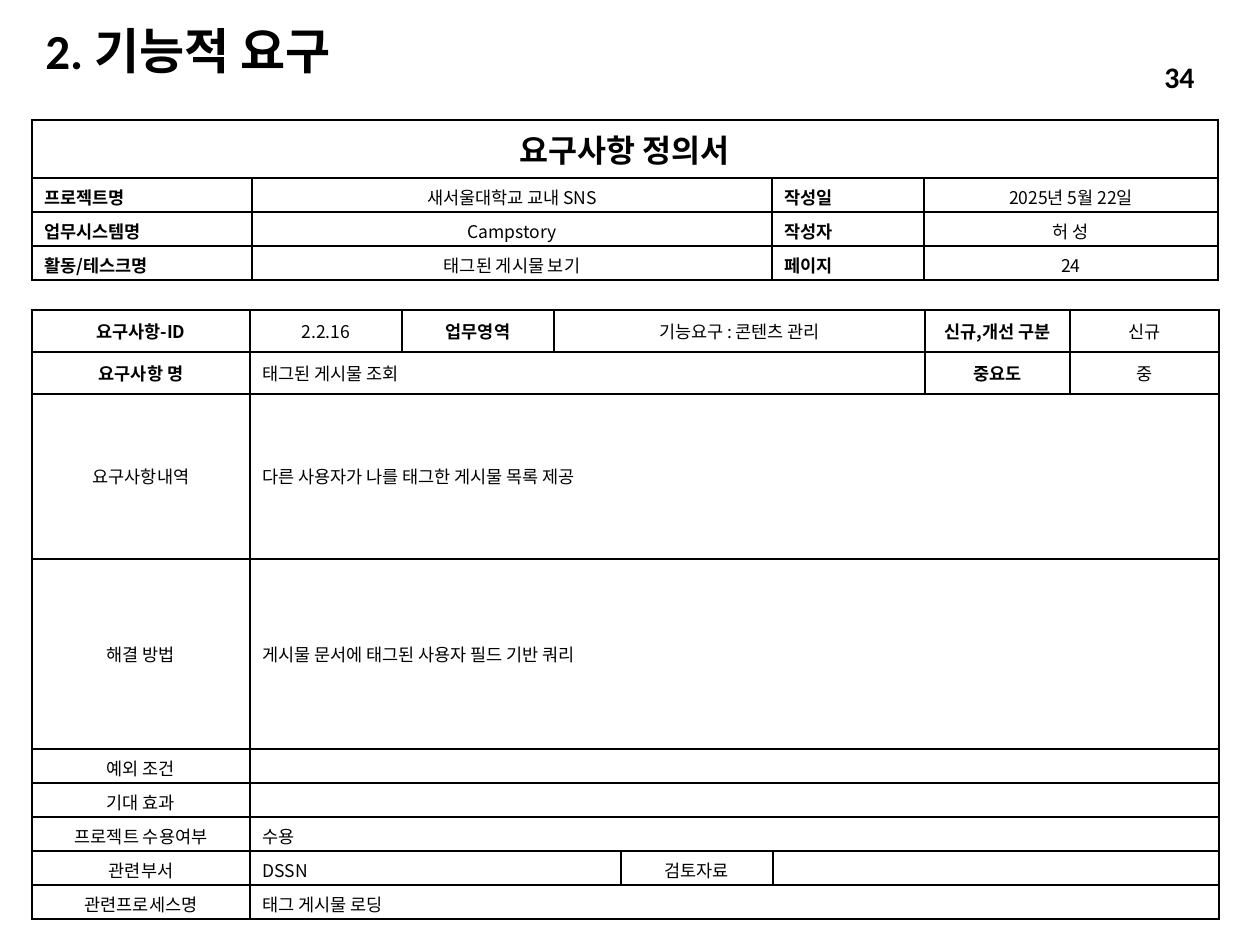
from dataclasses import dataclass

from lxml import etree
from pptx import Presentation
from pptx.dml.color import RGBColor
from pptx.enum.text import MSO_ANCHOR, PP_ALIGN
from pptx.oxml.ns import qn

LEFT, CENTER = PP_ALIGN.LEFT, PP_ALIGN.CENTER
RIGHT, JUSTIFY = PP_ALIGN.RIGHT, PP_ALIGN.JUSTIFY
TOP, MIDDLE = MSO_ANCHOR.TOP, MSO_ANCHOR.MIDDLE
EMU_PER_PX = 914400 / 126
EMU_PER_POINT = 12700


@dataclass(frozen=True)
class Theme:
    ink: str = "000000"
    latin: str = "Calibri"
    korean: str = "Noto Sans CJK KR"
    title_size: int = 28
    form_title_size: int = 18
    page_size: int = 17
    cell_size: int = 10
    thin: float = 1
    thick: float = 1.5


@dataclass(frozen=True)
class Entry:
    text: str = ""
    span: int = 1
    bold: bool = False
    align: PP_ALIGN = CENTER
    size: int = Theme.cell_size
    font: str = Theme.korean


THEME = Theme()


def px(length):
    return round(length * EMU_PER_PX)


def style_paragraph(paragraph, size, bold, align, name):
    paragraph.alignment = align
    font = paragraph.font
    font.size = size * EMU_PER_POINT
    font.bold = bold
    font.color.rgb = RGBColor.from_string(THEME.ink)
    font.name = name
    defaults = paragraph._p.pPr.find(qn("a:defRPr"))
    etree.SubElement(defaults, qn("a:ea"), typeface=THEME.korean)


def add_text(slide, box, text, size, align):
    shape = slide.shapes.add_textbox(*map(px, box))
    frame = shape.text_frame
    frame.word_wrap = True
    frame.vertical_anchor = MIDDLE
    paragraph = frame.paragraphs[0]
    paragraph.text = text
    style_paragraph(paragraph, size, True, align, THEME.latin)
    return paragraph


def draw_borders(cell, widths):
    properties = cell._tc.get_or_add_tcPr()
    for side in "LRTB":
        if side in widths:
            line = etree.SubElement(properties, qn(f"a:ln{side}"),
                                    w=str(round(widths[side] * EMU_PER_POINT)))
            fill = etree.SubElement(line, qn("a:solidFill"))
            etree.SubElement(fill, qn("a:srgbClr"), val=THEME.ink)


def fill_entry(table, row, column, entry, anchor, heavy_rules):
    last = column + entry.span - 1
    edge = len(table.columns)

    def rule(is_thick):
        return THEME.thick if is_thick else THEME.thin

    for index in range(column, last + 1):
        widths = {"T": rule(row in heavy_rules), "B": rule(row + 1 in heavy_rules)}
        if index == column:
            widths["L"] = rule(column == 0)
        if index in (column, last):
            widths["R"] = rule(last + 1 == edge)
        cell = table.cell(row, index)
        draw_borders(cell, widths)
        cell.fill.background()
        style_paragraph(cell.text_frame.paragraphs[0], entry.size, entry.bold,
                        entry.align, entry.font)

    cell = table.cell(row, column)
    cell.vertical_anchor = anchor
    if entry.text:
        cell.text_frame.paragraphs[0].add_run().text = entry.text
    if entry.span > 1:
        cell.merge(table.cell(row, last))


def add_form(slide, left, top, columns, heights, rows, anchors, heavy_rules):
    frame = slide.shapes.add_table(len(heights), len(columns), px(left), px(top),
                                   px(sum(columns)), px(sum(heights)))
    table = frame.table
    table.first_row = False
    table.horz_banding = False
    for column, width in zip(table.columns, columns):
        column.width = px(width)
    for row, height in zip(table.rows, heights):
        row.height = px(height)
    for row, (entries, anchor) in enumerate(zip(rows, anchors)):
        column = 0
        for entry in entries:
            fill_entry(table, row, column, entry, anchor, heavy_rules)
            column += entry.span


def add_requirement_form(slide):
    rows = [
        [Entry("요구사항-ID", bold=True), Entry("2.2.16"), Entry("업무영역", bold=True),
         Entry("기능요구 : 콘텐츠 관리", 3), Entry("신규,개선 구분", bold=True), Entry("신규")],
        [Entry("요구사항 명", bold=True), Entry("태그된 게시물 조회", 5, align=LEFT),
         Entry("중요도", bold=True), Entry("중")],
        [Entry("요구사항내역"),
         Entry("다른 사용자가 나를 태그한 게시물 목록 제공", 7, align=LEFT, font=THEME.latin)],
        [Entry("해결 방법"),
         Entry("게시물 문서에 태그된 사용자 필드 기반 쿼리", 7, align=LEFT)],
        [Entry("예외 조건"), Entry(span=7)],
        [Entry("기대 효과"), Entry(span=7)],
        [Entry("프로젝트 수용여부"), Entry("수용", 7, align=LEFT)],
        [Entry("관련부서"), Entry("DSSN", 3, align=LEFT), Entry("검토자료"), Entry(span=3)],
        [Entry("관련프로세스명"), Entry("태그 게시물 로딩", 7, align=LEFT)],
    ]
    add_form(slide, 32, 310, [218, 152, 152, 67, 152, 152, 145, 149],
             [42, 42, 165, 190] + [34] * 5, rows, [MIDDLE] * 9, {0, 1, 2, 9})


def add_project_form(slide):
    details = [
        ("프로젝트명", "새서울대학교 교내 SNS", "작성일", "2025년 5월 22일"),
        ("업무시스템명", "Campstory", "작성자", "허 성"),
        ("활동/테스크명", "태그된 게시물 보기", "페이지", "24"),
    ]
    rows = [[Entry("요구사항 정의서", 4, bold=True, size=THEME.form_title_size)]]
    for name, value, side_name, side_value in details:
        rows.append([Entry(name, bold=True, align=JUSTIFY), Entry(value),
                     Entry(side_name, bold=True, align=JUSTIFY), Entry(side_value)])
    add_form(slide, 32, 120, [220, 520, 152, 294], [58] + [34] * 3, rows,
             [MIDDLE] + [TOP] * 3, {0, 4})


def main():
    presentation = Presentation()
    presentation.slide_width = px(1260)
    presentation.slide_height = px(945)
    slide = presentation.slides.add_slide(presentation.slide_layouts[6])
    title = add_text(slide, (33, 26, 675, 55), "2. 기능적 요구", THEME.title_size, LEFT)
    title.line_spacing = 0.9
    add_requirement_form(slide)
    add_project_form(slide)
    add_text(slide, (1003, 52, 204, 50), "34", THEME.page_size, RIGHT)
    presentation.save("out.pptx")


if __name__ == "__main__":
    main()
